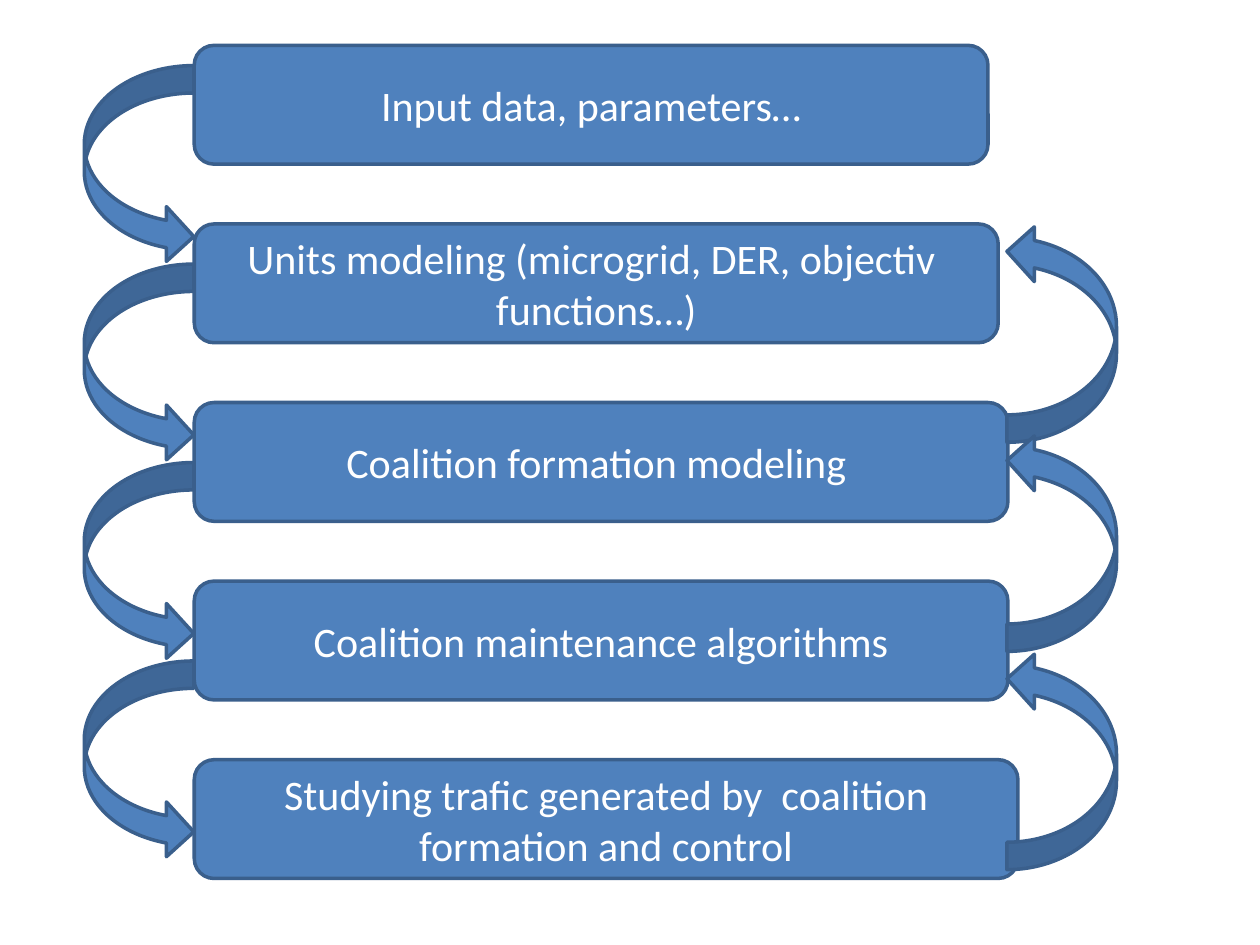
"""Build a slide of five modeling stages linked by curved arrows."""
from pptx import Presentation
from pptx.dml.color import RGBColor
from pptx.enum.shapes import MSO_SHAPE
from pptx.enum.text import MSO_ANCHOR, PP_ALIGN
from pptx.util import Pt

BLUE = RGBColor(0x4F, 0x81, 0xBD)
DARK_BLUE = RGBColor(0x3A, 0x5F, 0x8C)
WHITE = RGBColor(0xFF, 0xFF, 0xFF)

BOX_LEFT, BOX_TOP, BOX_HEIGHT, BOX_PITCH = 111, 25.9, 67.9, 102.05
ARROW_WIDTH = 62.6
DOWN_LEFT, DOWN_TOP, DOWN_HEIGHT, DOWN_PITCH = 48.2, 37.5, 113.3, 113.4
UP_LEFT, UP_HEIGHT = 575.4, 124.7
UP_TOPS = (128, 247.5, 372.2)

STAGES = (
    ("Input data, parameters…", 453.6),
    ("Units modeling (microgrid, DER, objectiv  functions…)", 459.4),
    ("Coalition formation modeling ", 465),
    ("Coalition maintenance algorithms", 465),
    ("Studying trafic generated by  coalition formation and control", 470.7),
)


def add_outlined_shape(slide, kind, left, top, width, height):
    """Add a blue shape with a dark blue outline."""
    shape = slide.shapes.add_shape(kind, Pt(left), Pt(top), Pt(width), Pt(height))
    shape.shadow.inherit = False
    shape.fill.solid()
    shape.fill.fore_color.rgb = BLUE
    shape.line.color.rgb = DARK_BLUE
    shape.line.width = Pt(2)
    return shape


def add_stage(slide, text, top, width):
    """Add a rounded box with centred white text."""
    box = add_outlined_shape(
        slide, MSO_SHAPE.ROUNDED_RECTANGLE, BOX_LEFT, top, width, BOX_HEIGHT
    )
    frame = box.text_frame
    frame.word_wrap = True
    frame.vertical_anchor = MSO_ANCHOR.MIDDLE
    frame.text = text
    para = frame.paragraphs[0]
    para.alignment = PP_ALIGN.CENTER
    font = para.runs[0].font
    font.name = "Calibri"
    font.size = Pt(24)
    font.color.rgb = WHITE


def add_curved_arrow(slide, left, top, height, rotation=0):
    """Add a curved arrow, turned by the given angle."""
    arrow = add_outlined_shape(
        slide, MSO_SHAPE.CURVED_RIGHT_ARROW, left, top, ARROW_WIDTH, height
    )
    arrow.rotation = rotation


def main():
    """Create the deck and save it."""
    deck = Presentation()
    deck.slide_width, deck.slide_height = Pt(720), Pt(540)
    slide = deck.slides.add_slide(deck.slide_layouts[6])
    for index, (text, width) in enumerate(STAGES):
        add_stage(slide, text, BOX_TOP + index * BOX_PITCH, width)
    for index in range(len(STAGES) - 1):
        add_curved_arrow(slide, DOWN_LEFT, DOWN_TOP + index * DOWN_PITCH, DOWN_HEIGHT)
    for top in UP_TOPS:
        add_curved_arrow(slide, UP_LEFT, top, UP_HEIGHT, rotation=180)
    deck.save("out.pptx")


main()
